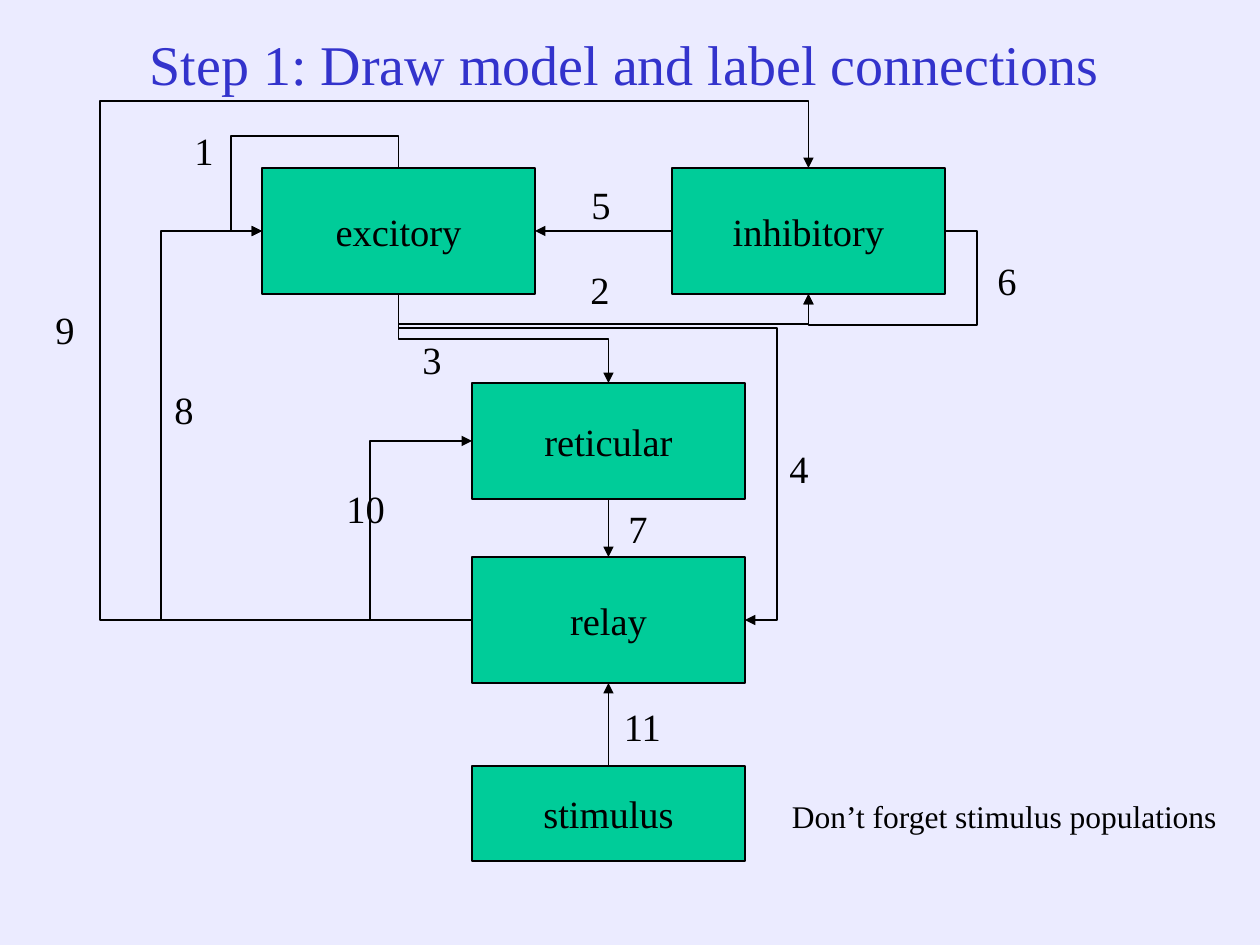
from lxml import etree
from pptx import Presentation
from pptx import util as u
from pptx.dml.color import RGBColor
from pptx.enum import shapes, text
from pptx.oxml.ns import qn

PX = 914400 // 126
FONT = "Times New Roman"
BACKGROUND = RGBColor(0xEB, 0xEB, 0xFF)
TITLE_BLUE = RGBColor(0x33, 0x33, 0xCC)
GREEN = RGBColor(0x00, 0xCC, 0x99)
BLACK = RGBColor(0, 0, 0)

TITLE = ("Step 1: Draw model and label connections", 74, 34, 1101, 59)
REMINDER = ("Don’t forget stimulus populations", 779, 791, 451, 50)

# Population: left, top, width, height
POPULATIONS = {
    "excitory": (262, 168, 273, 126),
    "inhibitory": (672, 168, 273, 126),
    "reticular": (472, 383, 273, 116),
    "relay": (472, 557, 273, 126),
    "stimulus": (472, 766, 273, 95),
}

# Start, end, and the lanes between: alternating y and x values
# (x first when the connection leaves from a left or right side)
CONNECTIONS = [
    ("excitory", "bottom", "inhibitory", "bottom", [324]),
    ("inhibitory", "left", "excitory", "right", []),
    ("excitory", "top", "excitory", "left", [136, 231]),
    ("inhibitory", "right", "inhibitory", "bottom", [977, 325]),
    ("excitory", "bottom", "reticular", "top", [339]),
    ("reticular", "bottom", "relay", "top", []),
    ("relay", "left", "excitory", "left", [161]),
    ("excitory", "bottom", "relay", "right", [328, 777]),
    ("stimulus", "top", "relay", "bottom", []),
    ("relay", "left", "reticular", "left", [370]),
    ("relay", "left", "inhibitory", "top", [100, 101]),
]

# Connection number: left, top
NUMBERS = {
    "1": (181, 121), "2": (577, 260), "3": (409, 330), "4": (776, 439),
    "5": (578, 175), "6": (984, 251), "7": (615, 499), "8": (161, 380),
    "9": (42, 300), "10": (332, 479), "11": (609, 697),
}


def write(frame, words, size, color):
    frame.text = words
    frame.word_wrap = False
    paragraph = frame.paragraphs[0]
    paragraph.alignment = text.PP_ALIGN.CENTER
    font = paragraph.runs[0].font
    font.name, font.size, font.color.rgb = FONT, u.Pt(size), color


def add_label(slide, words, left, top, width, height, size=22, color=BLACK):
    label = slide.shapes.add_textbox(left * PX, top * PX, width * PX, height * PX)
    write(label.text_frame, words, size, color)
    label.text_frame.auto_size = text.MSO_AUTO_SIZE.SHAPE_TO_FIT_TEXT
    return label


def add_population(slide, name, box):
    population = slide.shapes.add_shape(
        shapes.MSO_SHAPE.RECTANGLE, *(length * PX for length in box))
    population.shadow.inherit = False
    population.fill.solid()
    population.fill.fore_color.rgb = GREEN
    population.line.color.rgb = BLACK
    population.line.width = u.Pt(0.75)
    write(population.text_frame, name, 22, BLACK)
    population.text_frame.vertical_anchor = text.MSO_ANCHOR.MIDDLE


def side_point(name, side):
    left, top, width, height = POPULATIONS[name]
    across, down = {"left": (0, 0.5), "right": (1, 0.5),
                    "top": (0.5, 0), "bottom": (0.5, 1)}[side]
    return left + width * across, top + height * down


def route(start, start_side, end, end_side, lanes):
    points = [side_point(start, start_side)]
    target = side_point(end, end_side)
    horizontal = start_side in ("left", "right")
    for lane in lanes:
        x, y = points[-1]
        points.append((lane, y) if horizontal else (x, lane))
        horizontal = not horizontal
    if lanes:
        x, y = points[-1]
        points.append((target[0], y) if horizontal else (x, target[1]))
    return points + [target]


def add_connection(slide, points):
    scaled = [(round(x * PX), round(y * PX)) for x, y in points]
    if len(scaled) == 2:
        arrow = slide.shapes.add_connector(
            shapes.MSO_CONNECTOR.STRAIGHT, *scaled[0], *scaled[1])
    else:
        builder = slide.shapes.build_freeform(*scaled[0])
        builder.add_line_segments(scaled[1:], close=False)
        arrow = builder.convert_to_shape()
        arrow.fill.background()
    arrow.line.color.rgb = BLACK
    arrow.line.width = u.Pt(0.75)
    etree.SubElement(arrow.line._get_or_add_ln(), qn("a:tailEnd"), type="triangle")
    etree.SubElement(arrow._element.spPr, qn("a:effectLst"))


def main():
    deck = Presentation()
    deck.slide_width, deck.slide_height = 1260 * PX, 945 * PX
    slide = deck.slides.add_slide(deck.slide_layouts[6])
    slide.background.fill.solid()
    slide.background.fill.fore_color.rgb = BACKGROUND

    # Title
    title = add_label(slide, *TITLE, size=32, color=TITLE_BLUE)
    title.text_frame.auto_size = text.MSO_AUTO_SIZE.NONE
    title.text_frame.word_wrap = True
    title.text_frame.vertical_anchor = text.MSO_ANCHOR.MIDDLE

    # Populations and their connections
    for name, box in POPULATIONS.items():
        add_population(slide, name, box)
    for connection in CONNECTIONS:
        add_connection(slide, route(*connection))

    # Connection numbers and reminder
    for number, (left, top) in NUMBERS.items():
        add_label(slide, number, left, top, 25 + 21 * len(number), 59)
    add_label(slide, *REMINDER, size=18)

    deck.save("out.pptx")


if __name__ == "__main__":
    main()
